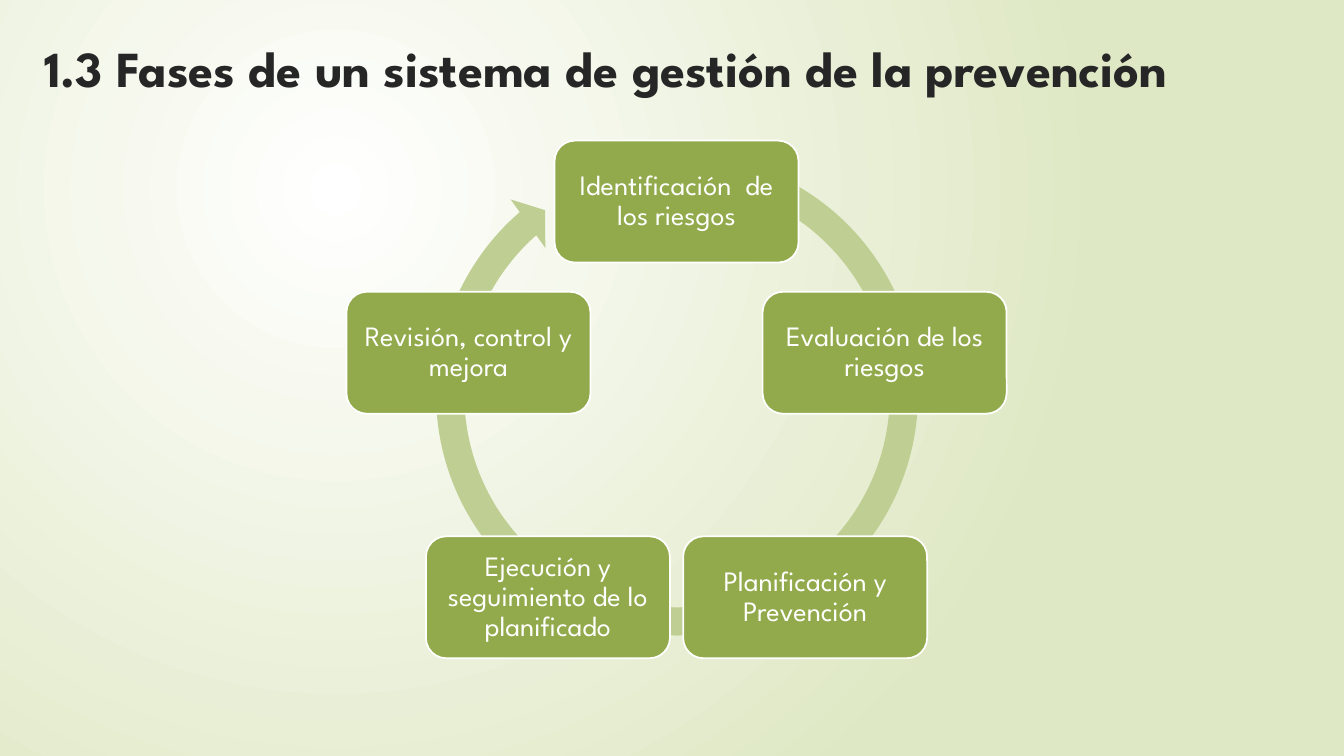
"""Build the slide with the five-phase prevention management cycle."""
from dataclasses import dataclass
from math import cos, radians, sin

from lxml.etree import SubElement
from pptx import Presentation
from pptx.dml.color import RGBColor
from pptx.enum.shapes import MSO_SHAPE
from pptx.enum.text import MSO_ANCHOR, PP_ALIGN
from pptx.oxml.ns import qn
from pptx.slide import Slide
from pptx.text.text import TextFrame
from pptx.util import Inches, Pt

FONT = "League Spartan"
WHITE = RGBColor(0xFF, 0xFF, 0xFF)
PALE_GREEN = RGBColor(0xDF, 0xE8, 0xC4)
LIGHT_GREEN = RGBColor(0xBF, 0xCE, 0x92)
GREEN = RGBColor(0x92, 0xAA, 0x4C)
DARK = RGBColor(0x26, 0x26, 0x26)

CENTER_X, CENTER_Y, RADIUS = 6.71, 4.17, 2.17
BOX_W, BOX_H = 2.42, 1.21
ARROW_SIZE = 5.09
ARROW_ADJUSTMENTS = (0.055, 3.307, 137.352, 174.108, 0.058)


@dataclass
class Phase:
    text: str
    angle: float


LABELS = (
    "Identificación  de los riesgos",
    "Evaluación de los riesgos",
    "Planificación y Prevención",
    "Ejecución y seguimiento de lo planificado",
    "Revisión, control y mejora",
)
PHASES = [Phase(label, i * 360 / len(LABELS)) for i, label in enumerate(LABELS)]


def set_background(s: Slide) -> None:
    fill = s.background.fill
    fill.gradient()
    for stop, color in zip(fill.gradient_stops, (WHITE, PALE_GREEN)):
        stop.color.rgb = color
    grad = next(s.element.iter(qn("a:gradFill")))
    grad.remove(grad.find(qn("a:lin")))
    circle = SubElement(grad, qn("a:path"), path="circle")
    SubElement(circle, qn("a:fillToRect"), l="50000", t="50000", r="100000", b="100000")


def write(tf: TextFrame, text: str, size: float, color: RGBColor,
          align: PP_ALIGN, bold: bool = False) -> None:
    tf.word_wrap = True
    tf.vertical_anchor = MSO_ANCHOR.MIDDLE
    p = tf.paragraphs[0]
    p.text = text
    p.alignment = align
    p.line_spacing = 0.9
    p.font.name = FONT
    p.font.size = Pt(size)
    p.font.bold = bold
    p.font.color.rgb = color


def add_title(s: Slide, text: str) -> None:
    sp = s.shapes.add_textbox(Inches(0.34), Inches(0.34), Inches(13), Inches(0.73))
    write(sp.text_frame, text, 36, DARK, PP_ALIGN.JUSTIFY, bold=True)


def add_cycle_arrow(s: Slide) -> None:
    sp = s.shapes.add_shape(MSO_SHAPE.CIRCULAR_ARROW, Inches(4.17), Inches(1.37),
                            Inches(ARROW_SIZE), Inches(ARROW_SIZE))
    for i, value in enumerate(ARROW_ADJUSTMENTS):
        sp.adjustments[i] = value
    sp.shadow.inherit = False
    sp.fill.solid()
    sp.fill.fore_color.rgb = LIGHT_GREEN
    sp.line.fill.background()


def add_phase(s: Slide, phase: Phase) -> None:
    angle = radians(phase.angle)
    x = CENTER_X + RADIUS * sin(angle) - BOX_W / 2
    y = CENTER_Y - RADIUS * cos(angle) - BOX_H / 2
    sp = s.shapes.add_shape(MSO_SHAPE.ROUNDED_RECTANGLE, Inches(x), Inches(y),
                            Inches(BOX_W), Inches(BOX_H))
    sp.shadow.inherit = False
    sp.fill.solid()
    sp.fill.fore_color.rgb = GREEN
    sp.line.color.rgb = WHITE
    sp.line.width = Pt(1.25)
    tf = sp.text_frame
    tf.margin_left = tf.margin_right = tf.margin_top = tf.margin_bottom = Inches(0.08)
    write(tf, phase.text, 20, WHITE, PP_ALIGN.CENTER)


def main() -> None:
    prs = Presentation()
    prs.slide_width, prs.slide_height = Inches(13.33), Inches(7.5)
    s = prs.slides.add_slide(prs.slide_layouts[6])
    set_background(s)
    add_title(s, "1.3 Fases de un sistema de gestión de la prevención")
    add_cycle_arrow(s)
    for phase in PHASES:
        add_phase(s, phase)
    prs.save("out.pptx")


if __name__ == "__main__":
    main()
